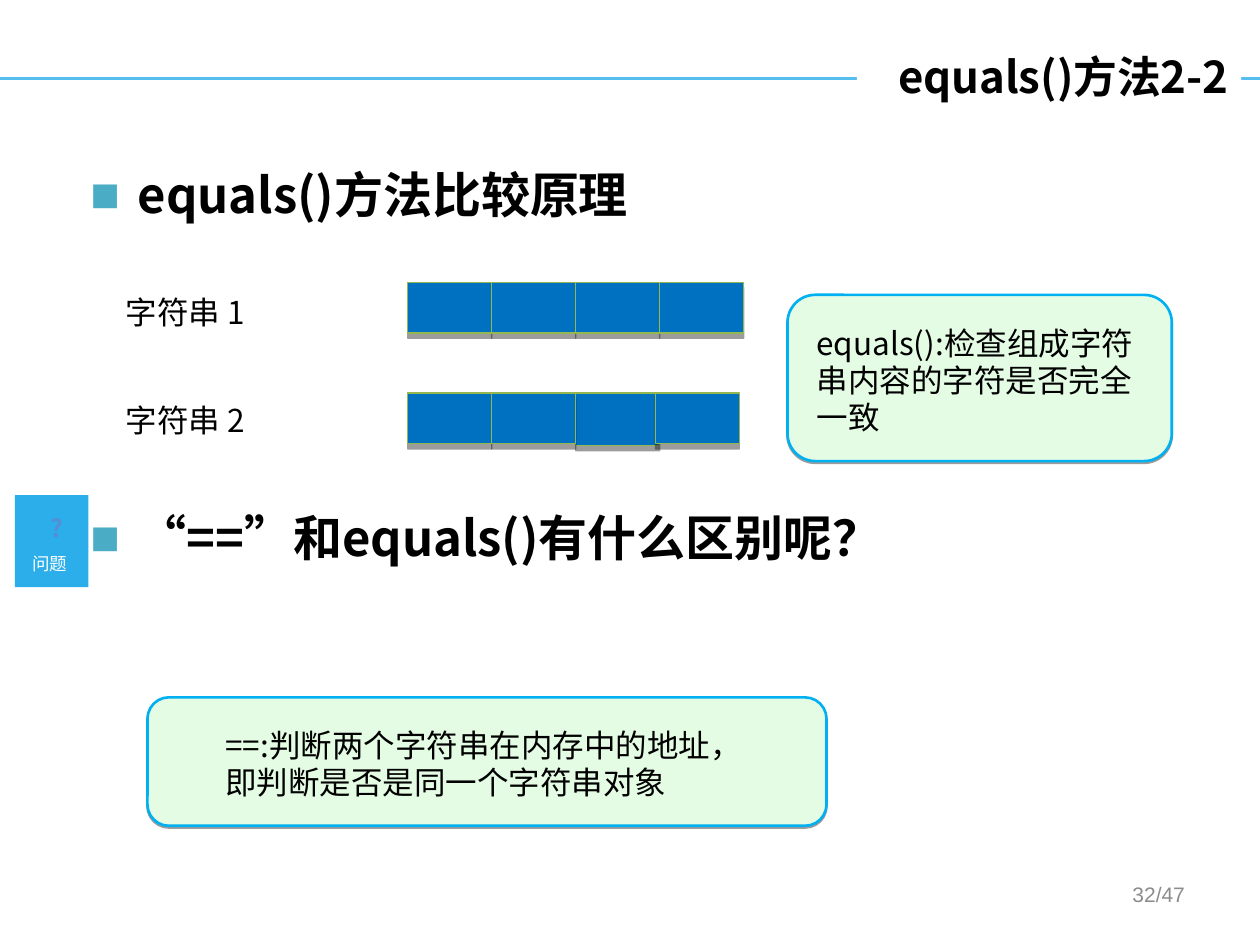
import pptx
import pptx.util
import pptx.dml.color
import pptx.enum.shapes
import pptx.enum.text
import pptx.oxml
import pptx.oxml.ns

Pt = pptx.util.Pt
SHAPE = pptx.enum.shapes.MSO_SHAPE
ALIGN = pptx.enum.text.PP_ALIGN
ANCHOR = pptx.enum.text.MSO_ANCHOR
NS = pptx.oxml.ns.nsdecls("a")

CJK = "Noto Sans CJK SC"
COLORS = {
    "ink": "000000", "paper": "FFFFFF", "rule": "56BEEE", "bullet": "4BACC6",
    "cell": "0070C0", "cell_edge": "95B74F", "note": "E4FCE4",
    "note_edge": "00B0F0", "badge": "2BAEE9", "question": "558ED5",
    "page": "8C8C8C",
}
HEADING = {"size": Pt(28), "bold": True}
BODY = {"size": Pt(18)}
LEADING = 1.19  # line pitch relative to the text size


def rgb(name):
    return pptx.dml.color.RGBColor.from_string(COLORS[name])


def add_effects(properties, shadow_pt=0):
    """Give a shape or connector its own effect list, with an optional drop shadow."""
    shadow = ""
    if shadow_pt:
        shadow = (f'<a:outerShdw blurRad="0" dist="{Pt(shadow_pt)}" dir="5400000" '
                  'rotWithShape="0"><a:srgbClr val="000000"><a:alpha val="39000"/>'
                  '</a:srgbClr></a:outerShdw>')
    properties.append(pptx.oxml.parse_xml(f"<a:effectLst {NS}>{shadow}</a:effectLst>"))


def add_bullet(paragraph):
    properties = paragraph._p.get_or_add_pPr()
    properties.set("marL", str(Pt(27)))
    properties.set("indent", str(-Pt(27)))
    for xml in (f'<a:buClr {NS}><a:srgbClr val="{COLORS["bullet"]}"/></a:buClr>',
                f'<a:buFont {NS} typeface="Arial"/>',
                f'<a:buChar {NS} char="■"/>'):
        properties.append(pptx.oxml.parse_xml(xml))


def write(shape, lines, font, color="ink", face=CJK, align=ALIGN.LEFT,
          tight=True, bullet=False, **frame_format):
    """Fill a shape with paragraphs that share one format."""
    frame = shape.text_frame
    for key, value in {"word_wrap": True, **frame_format}.items():
        setattr(frame, key, value)
    for index, line in enumerate(lines):
        paragraph = frame.paragraphs[0] if index == 0 else frame.add_paragraph()
        paragraph.alignment = align
        if tight:
            paragraph.line_spacing = Pt(round(font["size"].pt * LEADING, 1))
        if bullet:
            add_bullet(paragraph)
        run = paragraph.add_run()
        run.text = line
        for key, value in {"name": face, **font}.items():
            setattr(run.font, key, value)
        run.font.color.rgb = rgb(color)
        run_properties = run._r.get_or_add_rPr()
        run_properties.set("lang", "zh-CN")
        run_properties.append(pptx.oxml.parse_xml(f'<a:ea {NS} typeface="{face}"/>'))


def add_text(shapes, box, lines, font, **text_format):
    write(shapes.add_textbox(*map(Pt, box)), lines, font, **text_format)


def add_box(shapes, box, fill, edge=None, edge_pt=0.75, shadow_pt=0, kind=SHAPE.RECTANGLE):
    shape = shapes.add_shape(kind, *map(Pt, box))
    shape.fill.solid()
    shape.fill.fore_color.rgb = rgb(fill)
    if edge:
        shape.line.color.rgb = rgb(edge)
        shape.line.width = Pt(edge_pt)
    else:
        shape.line.fill.background()
    add_effects(shape._element.spPr, shadow_pt)
    return shape


def add_cell(shapes, left, top, height=29):
    add_box(shapes, (left, top, 48, height), "cell", "cell_edge", shadow_pt=3)


def add_note(shapes, box, lines, left_inset):
    note = add_box(shapes, box, "note", "note_edge", 1.5, 1, SHAPE.ROUNDED_RECTANGLE)
    write(note, lines, BODY, vertical_anchor=ANCHOR.MIDDLE,
          margin_left=Pt(left_inset), margin_top=Pt(6))


def add_badge(shapes):
    badge = shapes.add_group_shape().shapes
    add_box(badge, (8.6, 283, 42, 52.5), "badge")
    add_text(badge, (11.5, 312.5, 34.5, 19.5), ["问题"], {"size": Pt(10)}, color="paper",
             tight=False, word_wrap=False, vertical_anchor=ANCHOR.MIDDLE)
    add_text(badge, (21.6, 290, 18.7, 24.5), ["?"], {"size": Pt(14), "bold": True},
             color="question")


def main():
    deck = pptx.Presentation()
    deck.slide_width, deck.slide_height = Pt(720), Pt(540)
    shapes = deck.slides.add_slide(deck.slide_layouts[6]).shapes

    # Title over its rule
    rule = shapes.add_connector(pptx.enum.shapes.MSO_CONNECTOR.STRAIGHT,
                                Pt(0), Pt(45), Pt(720), Pt(45))
    rule.line.color.rgb = rgb("rule")
    rule.line.width = Pt(1.5)
    add_effects(rule._element.spPr)
    title = add_box(shapes, (489.6, 21, 219.6, 44.6), "paper")
    write(title, ["equals()方法2-2"], {"size": Pt(25), "bold": True},
          align=ALIGN.RIGHT, tight=False, vertical_anchor=ANCHOR.MIDDLE)

    # Headings
    for top, heading in ((91, "equals()方法比较原理"), (287, "“==”和equals()有什么区别呢？")):
        add_text(shapes, (44.6, top, 636, 44), [heading], HEADING, bullet=True)

    # Two strings, each a row of character cells
    for top, label in ((164, "字符串 1"), (226, "字符串 2")):
        add_text(shapes, (64.8, top, 156, 29), [label], BODY)
    for column in range(4):
        add_cell(shapes, 233 + 48 * column, 161.3)
    add_cell(shapes, 329, 224.6, 30)
    for left in (233, 281, 374.5):
        add_cell(shapes, left, 224.6)

    # Explanations
    add_note(shapes, (450, 168.5, 219.6, 95),
             ["equals():检查组成字符串内容的字符是否完全一致"], 12)
    add_note(shapes, (84.3, 398.5, 388, 73.4),
             ["==:判断两个字符串在内存中的地址，", "即判断是否是同一个字符串对象"], 41)

    # Question badge and page number
    add_badge(shapes)
    add_text(shapes, (516.2, 500.4, 168, 28.8), ["32/47"], {"size": Pt(12)}, color="page",
             face="Arial", align=ALIGN.RIGHT, tight=False, vertical_anchor=ANCHOR.TOP)

    deck.save("out.pptx")


if __name__ == "__main__":
    main()
